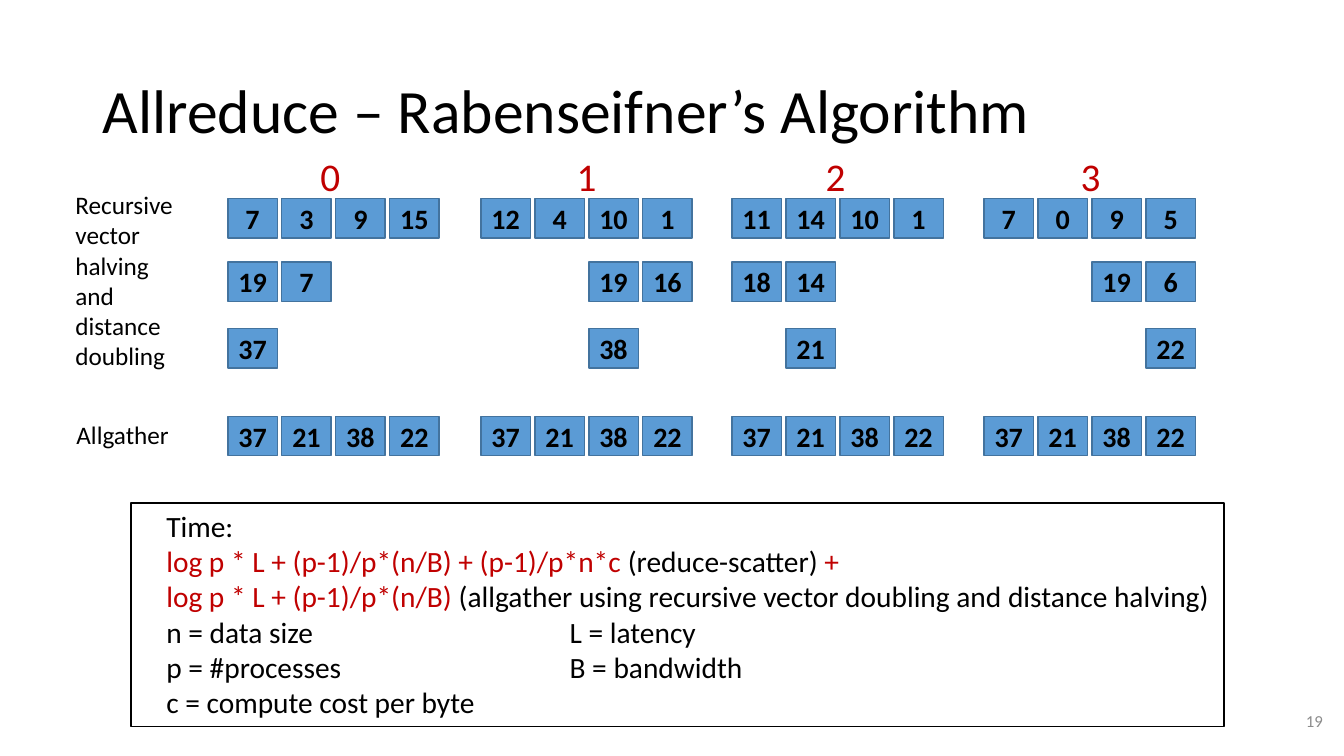
"""Build the slide on Rabenseifner's allreduce algorithm."""
from dataclasses import dataclass
from typing import NamedTuple

from lxml import etree
from pptx import Presentation
from pptx.dml.color import RGBColor
from pptx.enum.shapes import MSO_SHAPE
from pptx.enum.text import MSO_ANCHOR, MSO_AUTO_SIZE, PP_ALIGN
from pptx.oxml.ns import qn
from pptx.util import Inches, Pt

RECTANGLE = MSO_SHAPE.RECTANGLE
TOP, MIDDLE = MSO_ANCHOR.TOP, MSO_ANCHOR.MIDDLE
LEFT, CENTER, RIGHT = PP_ALIGN.LEFT, PP_ALIGN.CENTER, PP_ALIGN.RIGHT
NO_FIT = MSO_AUTO_SIZE.NONE
TITLE_ONLY = 5


@dataclass(frozen=True)
class Theme:
    """Colours, font and type sizes of the slide."""

    font: str = "Calibri"
    ink: str = "000000"
    paper: str = "FFFFFF"
    accent: str = "C00000"
    cell: str = "5B9BD5"
    cell_edge: str = "43739E"
    muted: str = "8C8C8C"
    title_size: int = 44
    rank_size: int = 28
    time_size: int = 21
    cell_size: int = 20
    phase_size: int = 18
    number_size: int = 12


class Area(NamedTuple):
    """Left, top, width and height in inches."""

    left: float
    top: float
    width: float
    height: float


class Process(NamedTuple):
    """A process rank with the left edges of its vector and its label."""

    rank: str
    left: float
    label_left: float


class Stage(NamedTuple):
    """A row of vectors, one per process; empty strings are gaps."""

    top: float
    vectors: tuple[tuple[str, ...], ...]


class Label(NamedTuple):
    """A piece of free text on the slide."""

    text: str
    area: Area
    size: int
    color: str
    align: PP_ALIGN = LEFT
    anchor: MSO_ANCHOR = TOP


class Span(NamedTuple):
    """Text of one colour within a paragraph."""

    text: str
    color: str


THEME = Theme()
CELL_WIDTH, CELL_HEIGHT, CELL_PITCH = 0.49, 0.39, 0.535
TITLE_AREA = Area(0.92, 0.4, 11.5, 1.45)
TIME_AREA = Area(1.3, 4.99, 10.84, 2.22)
TIME_INDENT, TIME_TAB = 0.35, 4

PROCESSES = (
    Process("0", 2.26, 3.08),
    Process("1", 4.77, 5.62),
    Process("2", 7.26, 8.09),
    Process("3", 9.76, 10.62),
)
STAGES = (
    Stage(1.97, (("7", "3", "9", "15"), ("12", "4", "10", "1"),
                 ("11", "14", "10", "1"), ("7", "0", "9", "5"))),
    Stage(2.6, (("19", "7"), ("", "", "19", "16"),
                ("18", "14"), ("", "", "19", "6"))),
    Stage(3.26, (("37",), ("", "", "38"), ("", "21"), ("", "", "", "22"))),
    Stage(4.13, (("37", "21", "38", "22"),) * len(PROCESSES)),
)
LABELS = (
    *(Label(process.rank, Area(process.label_left, 1.46, 0.33, 0.57),
            THEME.rank_size, THEME.accent) for process in PROCESSES),
    Label("Recursive vector halving and distance doubling",
          Area(0.65, 1.83, 1.17, 1.92), THEME.phase_size, THEME.ink),
    Label("Allgather", Area(0.66, 4.11, 1.17, 0.4), THEME.phase_size, THEME.ink),
    Label("19", Area(10.22, 6.95, 3, 0.4), THEME.number_size, THEME.muted,
          RIGHT, MIDDLE),
)
TIME_LINES = (
    (Span("Time:", THEME.ink),),
    (Span("log p * L + (p-1)/p*(n/B) + (p-1)/p*n*c ", THEME.accent),
     Span("(reduce-scatter)", THEME.ink), Span(" +", THEME.accent)),
    (Span("log p * L + (p-1)/p*(n/B) ", THEME.accent),
     Span("(allgather using recursive vector doubling and distance halving)",
          THEME.ink)),
    (Span("n = data size\tL = latency", THEME.ink),),
    (Span("p = #processes\tB = bandwidth", THEME.ink),),
    (Span("c = compute cost per byte", THEME.ink),),
)


def inches(area: Area) -> list[Inches]:
    """Convert an area to slide lengths."""
    return [Inches(length) for length in area]


def format_span(span, size: int, color: str, bold: bool = False) -> None:
    """Set the font of one run."""
    span.font.name = THEME.font
    span.font.size = Pt(size)
    span.font.bold = bold
    span.font.color.rgb = RGBColor.from_string(color)


def write(frame, text: str, size: int, color: str, align: PP_ALIGN,
          anchor: MSO_ANCHOR, bold: bool = False) -> None:
    """Fill a text frame with one formatted paragraph."""
    frame.text = text
    frame.word_wrap = True
    frame.auto_size = NO_FIT
    frame.vertical_anchor = anchor
    para = frame.paragraphs[0]
    para.alignment = align
    format_span(para.runs[0], size, color, bold)


def add_box(page, area: Area, fill: str, edge: str):
    """Add a flat rectangle with a thin outline."""
    box = page.shapes.add_shape(RECTANGLE, *inches(area))
    box.shadow.inherit = False
    box.fill.solid()
    box.fill.fore_color.rgb = RGBColor.from_string(fill)
    box.line.color.rgb = RGBColor.from_string(edge)
    box.line.width = Pt(1)
    return box


def add_title(page) -> None:
    """Place and format the title."""
    title = page.shapes.title
    title.left, title.top, title.width, title.height = inches(TITLE_AREA)
    write(title.text_frame, "Allreduce – Rabenseifner’s Algorithm",
          THEME.title_size, THEME.ink, LEFT, MIDDLE)
    title.text_frame.paragraphs[0].line_spacing = 0.9


def add_label(page, label: Label) -> None:
    """Add a text box for a label."""
    box = page.shapes.add_textbox(*inches(label.area))
    write(box.text_frame, label.text, label.size, label.color,
          label.align, label.anchor)


def add_vector(page, left: float, top: float, values: tuple[str, ...]) -> None:
    """Draw the cells of one vector, leaving gaps for empty values."""
    for column, value in enumerate(values):
        if value:
            area = Area(left + column * CELL_PITCH, top, CELL_WIDTH, CELL_HEIGHT)
            frame = add_box(page, area, THEME.cell, THEME.cell_edge).text_frame
            frame.margin_left = frame.margin_right = 0
            write(frame, value, THEME.cell_size, THEME.ink, CENTER, MIDDLE, True)


def add_tab_stop(para, position: float) -> None:
    """Give a paragraph one left tab stop."""
    stops = etree.SubElement(para._p.get_or_add_pPr(), qn("a:tabLst"))
    etree.SubElement(stops, qn("a:tab"), pos=str(Inches(position)), algn="l")


def add_time_box(page) -> None:
    """Add the framed running-time formula and its legend."""
    frame = add_box(page, TIME_AREA, THEME.paper, THEME.ink).text_frame
    frame.word_wrap = True
    frame.vertical_anchor = TOP
    frame.margin_left = Inches(TIME_INDENT)
    for index, line in enumerate(TIME_LINES):
        para = frame.add_paragraph() if index else frame.paragraphs[0]
        para.alignment = LEFT
        add_tab_stop(para, TIME_TAB)
        for part in line:
            span = para.add_run()
            span.text = part.text
            format_span(span, THEME.time_size, part.color)


def main() -> None:
    """Build and save the deck."""
    deck = Presentation()
    deck.slide_width, deck.slide_height = Inches(13.33), Inches(7.5)
    page = deck.slides.add_slide(deck.slide_layouts[TITLE_ONLY])
    add_title(page)
    for stage in STAGES:
        for process, values in zip(PROCESSES, stage.vectors):
            add_vector(page, process.left, stage.top, values)
    add_time_box(page)
    for label in LABELS:
        add_label(page, label)
    deck.save("out.pptx")


if __name__ == "__main__":
    main()
